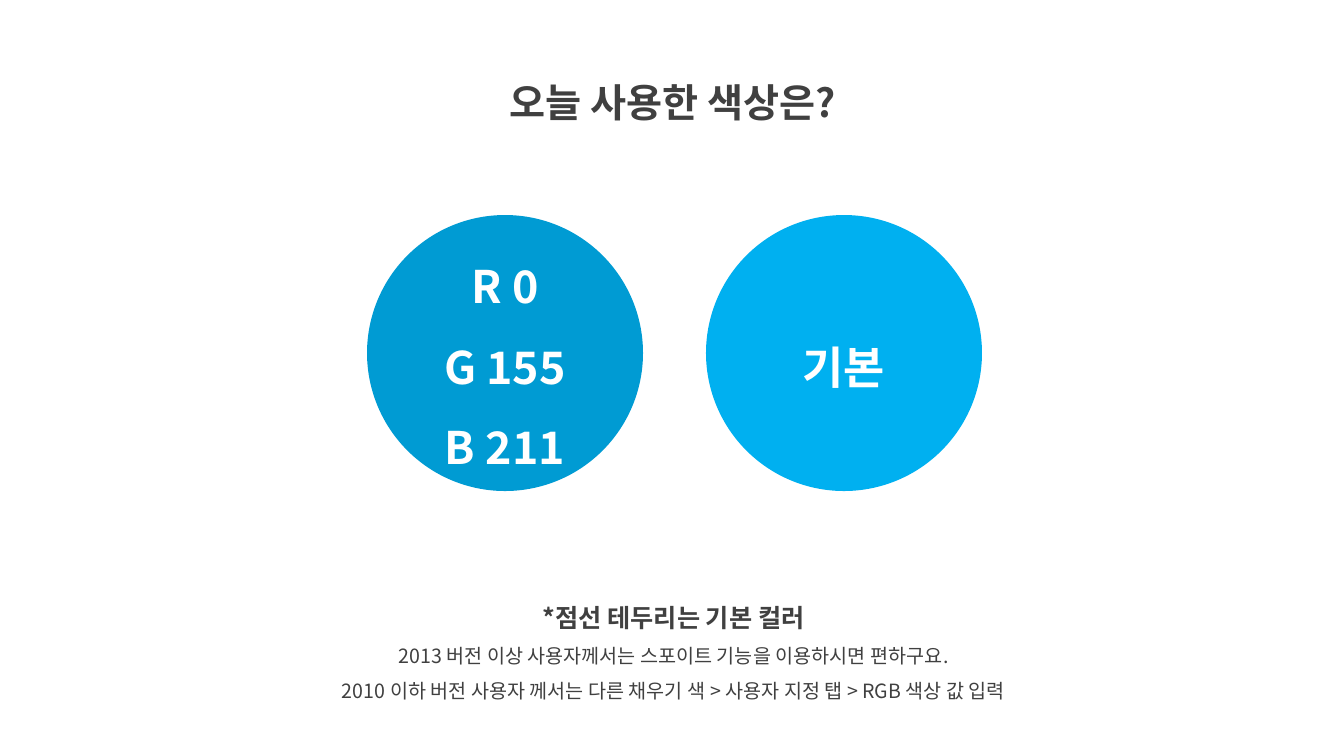
from dataclasses import dataclass

from lxml import etree
from pptx import Presentation
from pptx import util as u
from pptx.dml.color import RGBColor
from pptx.enum import shapes, text
from pptx.oxml.ns import qn

PX_PER_INCH = 100.8
FONT = "Noto Sans CJK KR"
GREY = RGBColor(0x40, 0x40, 0x40)
WHITE = RGBColor(0xFF, 0xFF, 0xFF)
DEEP_BLUE = RGBColor(0x00, 0x9B, 0xD3)
SKY_BLUE = RGBColor(0x00, 0xB0, 0xF0)


@dataclass(frozen=True)
class Line:
    text: str
    size: int
    bold: bool = True


@dataclass(frozen=True)
class TextBlock:
    x: int
    y: int
    w: int
    h: int
    lines: tuple[Line, ...]


@dataclass(frozen=True)
class Swatch:
    fill: RGBColor
    labels: tuple[str, ...]


BLOCKS = (
    TextBlock(439, 50, 467, 73, (Line("오늘 사용한 색상은?", 28),)),
    TextBlock(271, 582, 805, 127, (
        Line("*점선 테두리는 기본 컬러", 18),
        Line("2013 버전 이상 사용자께서는 스포이트 기능을 이용하시면 편하구요.", 14, False),
        Line("2010 이하 버전 사용자 께서는 다른 채우기 색 > 사용자 지정 탭 > RGB 색상 값 입력", 14, False),
    )),
)

SWATCHES = (
    Swatch(DEEP_BLUE, ("R 0", "G 155", "B 211")),
    Swatch(SKY_BLUE, ("기본",)),
)
SWATCH_LEFT, SWATCH_TOP, SWATCH_SIZE, SWATCH_STEP = 367, 215, 276, 339
SWATCH_FONT_SIZE = 32


def px(n: int) -> u.Emu:
    return u.Emu(round(n * u.Inches(1) / PX_PER_INCH))


def write_lines(tf, lines: tuple[Line, ...], color: RGBColor) -> None:
    tf.word_wrap = True
    for i, line in enumerate(lines):
        p = tf.add_paragraph() if i else tf.paragraphs[0]
        p.alignment = text.PP_ALIGN.CENTER
        p.line_spacing = 1.5
        r = p.add_run()
        r.text = line.text
        r.font.size = u.Pt(line.size)
        r.font.bold = line.bold
        r.font.color.rgb = color
        r.font.name = FONT
        ea = etree.SubElement(r.font._element, qn("a:ea"))
        ea.set("typeface", FONT)


def add_text_block(s, block: TextBlock) -> None:
    sp = s.shapes.add_textbox(px(block.x), px(block.y), px(block.w), px(block.h))
    write_lines(sp.text_frame, block.lines, GREY)
    sp.text_frame.auto_size = text.MSO_AUTO_SIZE.SHAPE_TO_FIT_TEXT


def add_swatch(s, swatch: Swatch, x: int) -> None:
    sp = s.shapes.add_shape(shapes.MSO_SHAPE.OVAL, px(x), px(SWATCH_TOP),
                            px(SWATCH_SIZE), px(SWATCH_SIZE))
    sp.shadow.inherit = False
    sp.fill.solid()
    sp.fill.fore_color.rgb = swatch.fill
    sp.line.fill.background()
    sp.text_frame.vertical_anchor = text.MSO_ANCHOR.MIDDLE
    lines = tuple(Line(label, SWATCH_FONT_SIZE) for label in swatch.labels)
    write_lines(sp.text_frame, lines, WHITE)


def main() -> None:
    prs = Presentation()
    prs.slide_width, prs.slide_height = px(1344), px(756)
    s = prs.slides.add_slide(prs.slide_layouts[6])
    for block in BLOCKS:
        add_text_block(s, block)
    for i, swatch in enumerate(SWATCHES):
        add_swatch(s, swatch, SWATCH_LEFT + i * SWATCH_STEP)
    prs.save("out.pptx")


if __name__ == "__main__":
    main()
